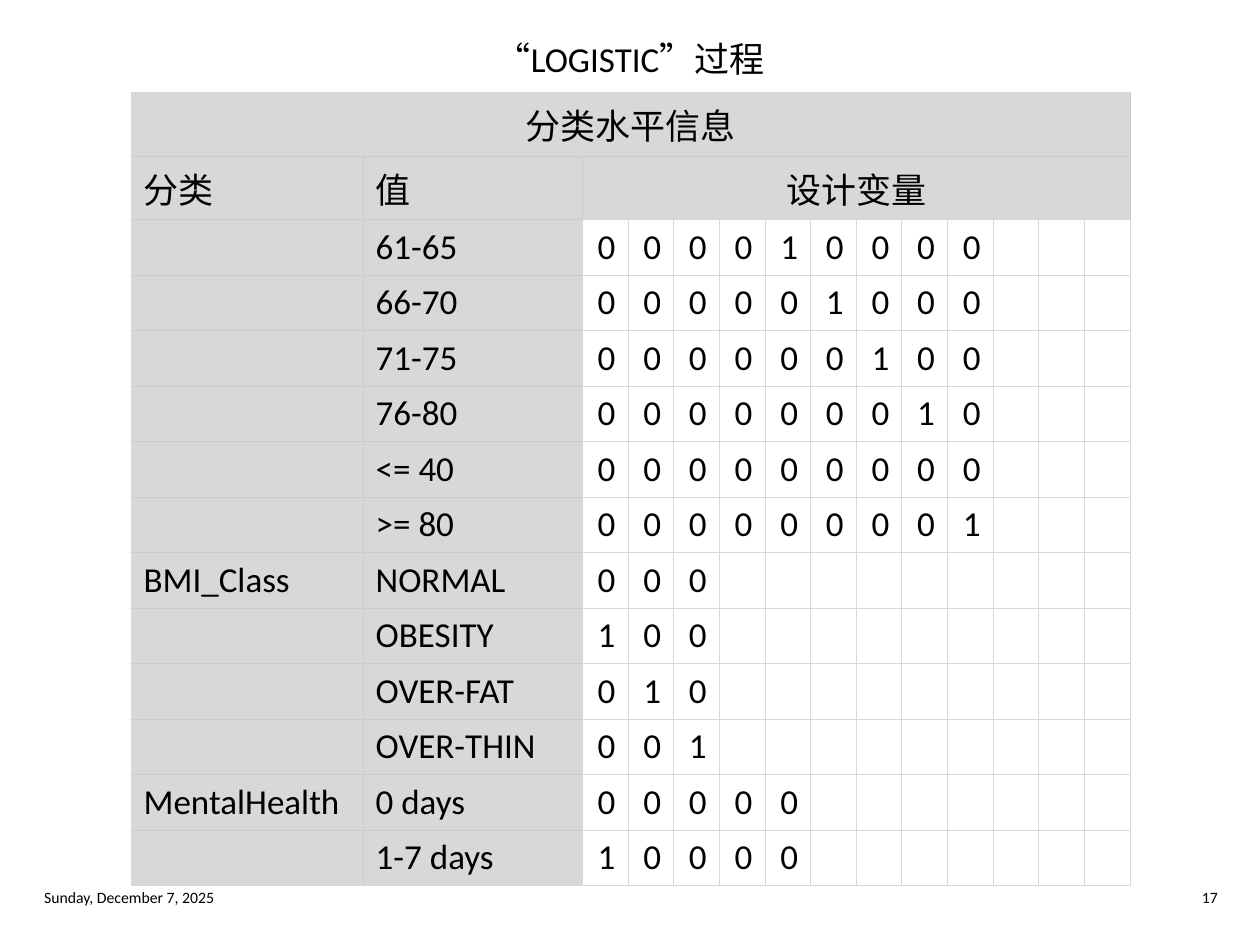
"""Build the LOGISTIC class level information slide."""
from lxml import etree
from pptx import Presentation
from pptx import util as u
from pptx.dml.color import RGBColor
from pptx.enum import text
from pptx.oxml import ns

BLACK = RGBColor(0x00, 0x00, 0x00)
GREY = RGBColor(0xD8, 0xD8, 0xD8)
RULE = RGBColor(0xCC, 0xCC, 0xCC)
LEFT, CENTER, RIGHT = text.PP_ALIGN.LEFT, text.PP_ALIGN.CENTER, text.PP_ALIGN.RIGHT
TOP, MIDDLE, BOTTOM = text.MSO_ANCHOR.TOP, text.MSO_ANCHOR.MIDDLE, text.MSO_ANCHOR.BOTTOM
DESIGN_COLS = 12

LEVELS = [
    ("", "61-65", 9, 4),
    ("", "66-70", 9, 5),
    ("", "71-75", 9, 6),
    ("", "76-80", 9, 7),
    ("", "<= 40", 9, None),
    ("", ">= 80", 9, 8),
    ("BMI_Class", "NORMAL", 3, None),
    ("", "OBESITY", 3, 0),
    ("", "OVER-FAT", 3, 1),
    ("", "OVER-THIN", 3, 2),
    ("MentalHealth", "0 days", 5, None),
    ("", "1-7 days", 5, 0),
]


def write(tf, content, size, align):
    p = tf.paragraphs[0]
    p.text = content
    p.alignment = align
    p.font.size = u.Pt(size)
    for r in p.runs:
        r.font.size = u.Pt(size)
        r.font.name = "Calibri"
        r.font.color.rgb = BLACK


def set_borders(cell, colors):
    tc_pr = cell._tc.get_or_add_tcPr()
    for i, (side, color) in enumerate(zip("LRTB", colors)):
        ln = etree.Element(ns.qn(f"a:ln{side}"), w=str(u.Pt(0.5)))
        fill = etree.SubElement(ln, ns.qn("a:solidFill"))
        etree.SubElement(fill, ns.qn("a:srgbClr"), val=str(color))
        tc_pr.insert(i, ln)


prs = Presentation()
prs.slide_width, prs.slide_height = u.Cm(25.4), u.Cm(19.05)
s = prs.slides.add_slide(prs.slide_layouts[6])

rows = [["分类水平信息"] + [""] * (DESIGN_COLS + 1),
        ["分类", "值", "设计变量"] + [""] * (DESIGN_COLS - 1)]
for group, value, count, hot in LEVELS:
    digits = ["1" if i == hot else "0" for i in range(count)]
    rows.append([group, value] + digits + [""] * (DESIGN_COLS - count))

widths = [4.68, 4.42] + [0.92] * DESIGN_COLS
last = len(rows) - 1
gf = s.shapes.add_table(len(rows), len(widths), u.Cm(2.64), u.Cm(1.87),
                        u.Cm(sum(widths)), u.Cm(1.06 * len(rows)))
tbl = gf.table
tbl.first_row = tbl.horz_banding = False
for col, width in zip(tbl.columns, widths):
    col.width = u.Cm(width)
for row in tbl.rows:
    row.height = u.Cm(1.06)

for i, values in enumerate(rows):
    for j, value in enumerate(values):
        cell = tbl.cell(i, j)
        header = i < 2
        shaded = header or j < 2
        if header:
            align = CENTER if i == 0 or j == 2 else LEFT
        else:
            align = LEFT if j < 2 else RIGHT
        write(cell.text_frame, value, 20, align)
        cell.vertical_anchor = BOTTOM if header else TOP
        inner = RULE if shaded else GREY
        set_borders(cell, [GREY if j == 0 else inner, inner,
                           GREY if i == 0 else inner,
                           GREY if i == last else inner])
        if shaded:
            cell.fill.solid()
            cell.fill.fore_color.rgb = GREY
        else:
            cell.fill.background()

tbl.cell(0, 0).merge(tbl.cell(0, DESIGN_COLS + 1))
tbl.cell(1, 2).merge(tbl.cell(1, DESIGN_COLS + 1))

for content, x, y, w, h, size, align, anchor in [
    ("“LOGISTIC”过程", 0.64, 0.64, 24.13, 1.07, 20, CENTER, TOP),
    ("Sunday, December 7, 2025", 0.64, 17.75, 6.05, 0.66, 9, LEFT, MIDDLE),
    ("17", 18.75, 17.75, 6.05, 0.66, 9, RIGHT, MIDDLE),
]:
    tf = s.shapes.add_textbox(u.Cm(x), u.Cm(y), u.Cm(w), u.Cm(h)).text_frame
    tf.word_wrap = True
    tf.vertical_anchor = anchor
    write(tf, content, size, align)

prs.save("out.pptx")
